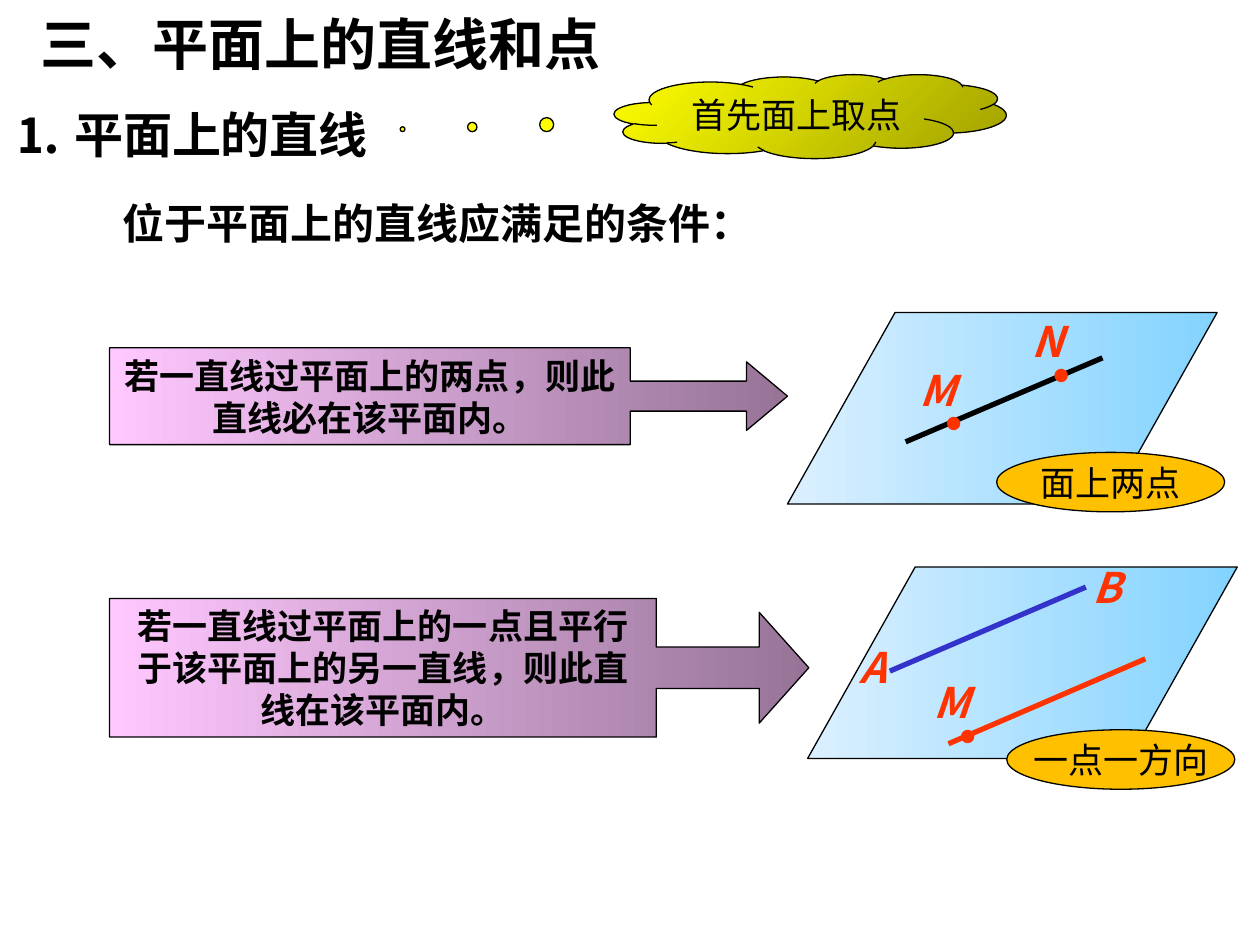
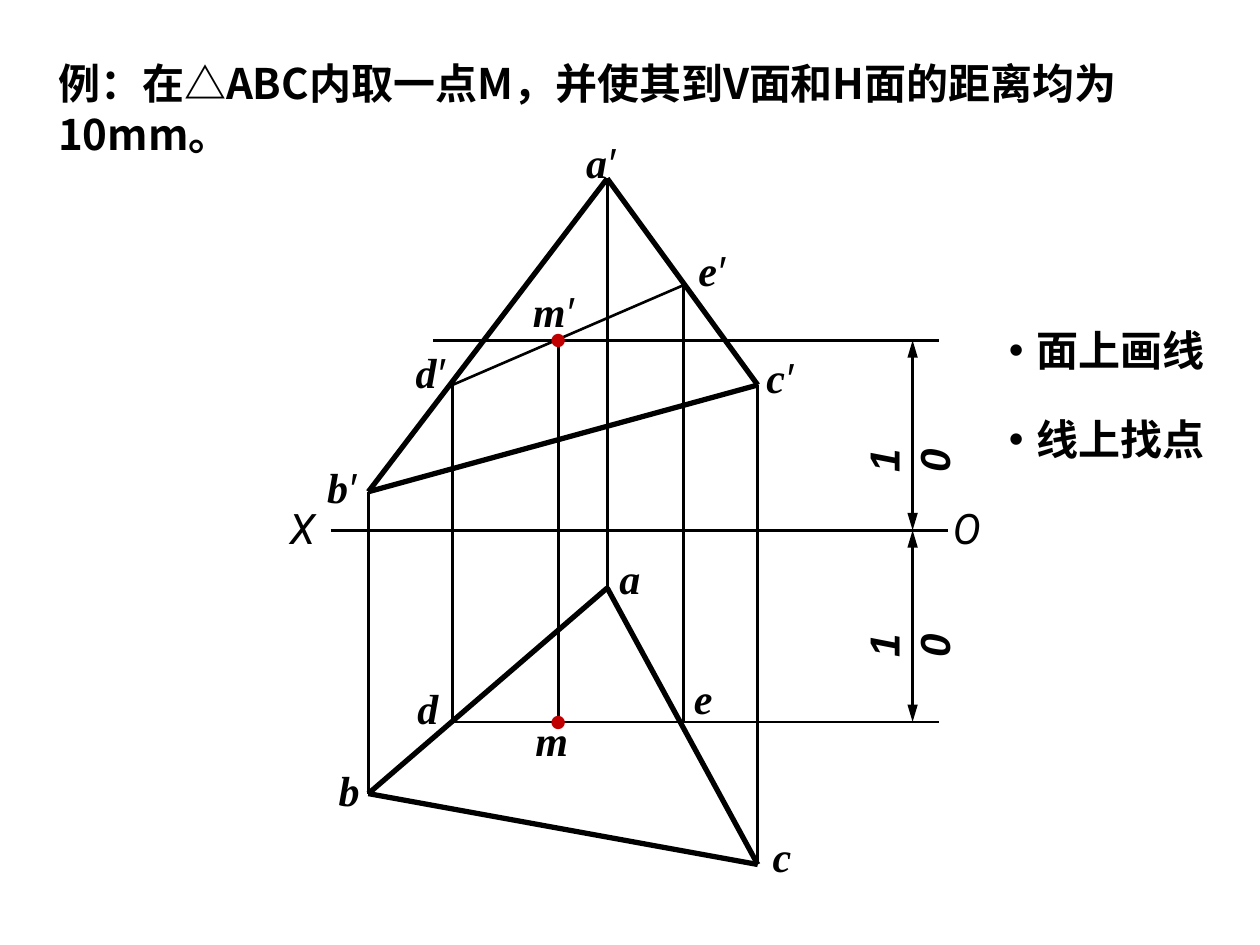
import itertools

import pptx
import pptx.dml.color
import pptx.enum.shapes
import pptx.enum.text
import pptx.oxml
import pptx.oxml.ns
import pptx.util
from lxml import etree

Pt = pptx.util.Pt
SHAPE = pptx.enum.shapes.MSO_SHAPE
ALIGN = pptx.enum.text.PP_ALIGN
ANCHOR = pptx.enum.text.MSO_ANCHOR
qn = pptx.oxml.ns.qn

COLORS = {
    "ink": "000000", "accent": "FF3300", "given": "3333CC", "point": "C00000",
    "badge": "FFC000", "plane_deep": "83D3FF", "plane_pale": "DBF0FF",
    "rule_deep": "977497", "rule_pale": "FFC8FF",
    "cloud_deep": "A0A000", "cloud_pale": "FFFF00",
}
SANS, SERIF = "Noto Sans CJK SC", "Times New Roman"

SECTION = "三、平面上的直线和点"
HEADINGS = [
    ("⒈ 平面上的直线", 28, (1, 56, 362, 41)),
    ("位于平面上的直线应满足的条件：", 24, (63, 109, 513, 36)),
]
HINT = ("首先面上取点", (351, 42.5, 224, 48), (-1.04, 0.153))
RULES = [
    {
        "text": "若一直线过平面上的两点，则此直线必在该平面内。",
        "box": (62.6, 198.7, 387.4, 55.4), "arrow": (0.31, 0.354, 0.423, 0.768),
        "plane": (450, 178.6), "badge": ("面上两点", (569.5, 258.5)),
        "lines": [((517.5, 252.5), (630, 204.5), "ink")],
        "points": [(606.5, 214.5), (545, 242)],
        "names": [("M", 518.5, 204.5, 35), ("N", 582.5, 177, 32)],
    },
    {
        "text": "若一直线过平面上的一点且平行于该平面上的另一直线，则此直线在该平面内。",
        "box": (62.6, 342, 399.6, 79.2), "arrow": (0.299, 0.4, 0.358, 0.782),
        "plane": (461.5, 324), "badge": ("一点一方向", (575.3, 417)),
        "lines": [((508.5, 383.5), (620.5, 335.5), "given"),
                  ((542, 425), (654.5, 376.5), "accent")],
        "points": [(553, 420.5)],
        "names": [("A", 484, 363, 30), ("B", 617, 317.5, 29), ("M", 526.5, 383, 35)],
    },
]

EXAMPLE = "例：在△ABC内取一点M，并使其到V面和H面的距离均为10mm。"
STEPS = ["面上画线", "线上找点"]
AXIS_Y, FRONT_Y, TOP_Y = 303, 194.5, 412.5
DIMENSION_X = 521.5
DIMENSION = "10"
VERTICES = {
    "a": (347, 102, 336), "b": (210.5, 281, 453.5), "c": (433, 220, 494),
    "d": (258.5, 220, TOP_Y), "e": (390.5, 163, TOP_Y), "m": (319, FRONT_Y, TOP_Y),
}
FRONT_LABELS = [("a", 335, 78, 20), ("b", 187, 263.5, 20), ("c", 438, 201, 19),
                ("d", 237.5, 198, 20), ("e", 399, 139.5, 32), ("m", 304.5, 163, 27)]
TOP_LABELS = [("a", 354, 315.5, 12), ("b", 193.5, 437, 12), ("c", 441.5, 474.5, 11),
              ("d", 238.5, 390, 12), ("e", 396.5, 384.5, 11), ("m", 306, 408, 19)]
AXIS_LABELS = [("X", 165.5, 287, 17), ("O", 544.5, 287, 17)]
HORIZONTALS = [(189, 541.5, AXIS_Y), (247.5, 536.5, FRONT_Y), (257, 536.5, TOP_Y)]


def rgb(color):
    return pptx.dml.color.RGBColor.from_string(COLORS[color])


def place(shape, box):
    shape.left, shape.top, shape.width, shape.height = map(Pt, box)


def style(paragraph, size, font, color="ink", bold=False, italic=False, align=ALIGN.LEFT):
    paragraph.alignment = align
    paragraph.font.size = Pt(size)
    paragraph.font.bold = bold
    paragraph.font.italic = italic
    paragraph.font.color.rgb = rgb(color)
    paragraph.font.name = font
    if any("一" <= char <= "龥" for char in paragraph.text):
        defaults = paragraph._p.pPr.find(qn("a:defRPr"))
        etree.SubElement(defaults, qn("a:ea")).set("typeface", SANS)


def write(shape, text, size, font, anchor=ANCHOR.TOP, wrap=True, inset=True, **look):
    frame = shape.text_frame
    frame.auto_size = pptx.enum.text.MSO_AUTO_SIZE.NONE
    frame.word_wrap = wrap
    frame.vertical_anchor = anchor
    frame.margin_left = frame.margin_right = Pt(7.2 if inset else 0)
    frame.margin_top = frame.margin_bottom = Pt(3.6 if inset else 0)
    frame.text = text
    for paragraph in frame.paragraphs:
        style(paragraph, size, font, **look)
    return frame


def add_text(slide, box, *args, **look):
    shape = slide.shapes.add_textbox(*map(Pt, box))
    write(shape, *args, **look)
    return shape


def add_title(slide, text, size, font, box):
    place(slide.shapes.title, box)
    write(slide.shapes.title, text, size, font, bold=True)


def add_preset(slide, kind, box, fill, angle=180, adjustments=()):
    shape = slide.shapes.add_shape(kind, *map(Pt, box))
    shape.shadow.inherit = False
    shape.line.color.rgb = rgb("ink")
    shape.line.width = Pt(0.75)
    for index, value in enumerate(adjustments):
        shape.adjustments[index] = value
    if fill in COLORS:
        shape.fill.solid()
        shape.fill.fore_color.rgb = rgb(fill)
    else:
        shape.fill.gradient()
        shape.fill.gradient_angle = angle
        for stop, shade in zip(shape.fill.gradient_stops, ("deep", "pale")):
            stop.color.rgb = rgb(f"{fill}_{shade}")
    return shape


def add_line(slide, start, end, color="ink", width=1.5, arrows=False):
    line = slide.shapes.add_connector(
        pptx.enum.shapes.MSO_CONNECTOR.STRAIGHT, *map(Pt, (*start, *end)))
    line.line.color.rgb = rgb(color)
    line.line.width = Pt(width)
    if arrows:
        outline = line.line._get_or_add_ln()
        for tag in ("a:headEnd", "a:tailEnd"):
            etree.SubElement(outline, qn(tag), type="triangle", w="med", len="lg")
    etree.SubElement(line._element.spPr, qn("a:effectLst"))


def add_point(slide, center, color):
    x, y = center
    add_text(slide, (x - 11.5, y - 10.5, 23, 19.5), "●", 10, "Cambria",
             wrap=False, color=color)


def add_label(slide, label, font=SERIF, bold=True, prime=False):
    text, left, top, width = label
    shape = add_text(slide, (left, top, width, 29), text, 24, font,
                     wrap=False, inset=False, bold=bold, italic=True)
    if prime:
        mark = shape.text_frame.paragraphs[0].add_run()
        mark.text = "′"
        mark.font.name = "Arial"
        mark.font.bold = False


def build_conditions(deck):
    slide = deck.slides.add_slide(deck.slide_layouts[5])
    add_title(slide, SECTION, 32, SERIF, (16, 2, 423, 46))
    for text, size, box in HEADINGS:
        add_text(slide, box, text, size, SANS, anchor=ANCHOR.MIDDLE, bold=True)

    for rule in RULES:
        add_preset(slide, SHAPE.PARALLELOGRAM, (*rule["plane"], 245.5, 109.4),
                   "plane", adjustments=[0.562])
        for start, end, color in rule["lines"]:
            add_line(slide, start, end, color, 3)
        for center in rule["points"]:
            add_point(slide, center, "accent")
        for name, left, top, width in rule["names"]:
            add_text(slide, (left, top, width, 36), name, 24, SANS, wrap=False,
                     color="accent", bold=True, italic=True)
        statement = add_preset(slide, SHAPE.RIGHT_ARROW_CALLOUT, rule["box"], "rule",
                               adjustments=rule["arrow"])
        write(statement, rule["text"], 20, SANS, anchor=ANCHOR.MIDDLE,
              bold=True, align=ALIGN.CENTER)
        summary, corner = rule["badge"]
        badge = add_preset(slide, SHAPE.OVAL, (*corner, 130.3, 34), "badge")
        write(badge, summary, 20, "Arial", anchor=ANCHOR.MIDDLE, wrap=False,
              align=ALIGN.CENTER)

    text, box, tail = HINT
    hint = add_preset(slide, SHAPE.CLOUD_CALLOUT, box, "cloud", 135, tail)
    write(hint, text, 20, SANS, align=ALIGN.CENTER)


def build_example(deck):
    slide = deck.slides.add_slide(deck.slide_layouts[1])
    add_title(slide, EXAMPLE, 24, SANS, (26, 29.5, 679, 65))

    front = {name: (x, y) for name, (x, y, _) in VERTICES.items()}
    top = {name: (x, y) for name, (x, _, y) in VERTICES.items()}
    for name in VERTICES:
        add_line(slide, front[name], top[name])
    for left, right, y in HORIZONTALS:
        add_line(slide, (left, y), (right, y))
    add_line(slide, front["d"], front["e"])
    for view in (front, top):
        for start, end in itertools.combinations("abc", 2):
            add_line(slide, view[start], view[end], width=3)
        add_point(slide, view["m"], "point")

    for upper, lower, middle in ((FRONT_Y, AXIS_Y, 257), (AXIS_Y, TOP_Y, 363)):
        add_line(slide, (DIMENSION_X, upper), (DIMENSION_X, lower), arrows=True)
        distance = add_text(slide, (484.5, middle - 18, 40, 36), DIMENSION, 24, "Arial",
                            bold=True, italic=True)
        distance.rotation = 270

    for label in FRONT_LABELS:
        add_label(slide, label, prime=True)
    for label in TOP_LABELS:
        add_label(slide, label)
    for label in AXIS_LABELS:
        add_label(slide, label, font="Roboto", bold=False)

    steps = slide.placeholders[1]
    place(steps, (564.5, 179, 136, 93))
    frame = write(steps, "\n".join(STEPS), 24, SERIF, anchor=ANCHOR.MIDDLE,
                  bold=True, align=ALIGN.CENTER)
    for index, paragraph in enumerate(frame.paragraphs):
        paragraph.space_before = Pt(22 if index else 0)
        paragraph._p.pPr.set("marL", str(Pt(16)))
        paragraph._p.pPr.set("indent", str(-Pt(16)))


def main():
    deck = pptx.Presentation()
    deck.slide_width, deck.slide_height = Pt(720), Pt(540)
    build_conditions(deck)
    build_example(deck)
    deck.save("out.pptx")


if __name__ == "__main__":
    main()
